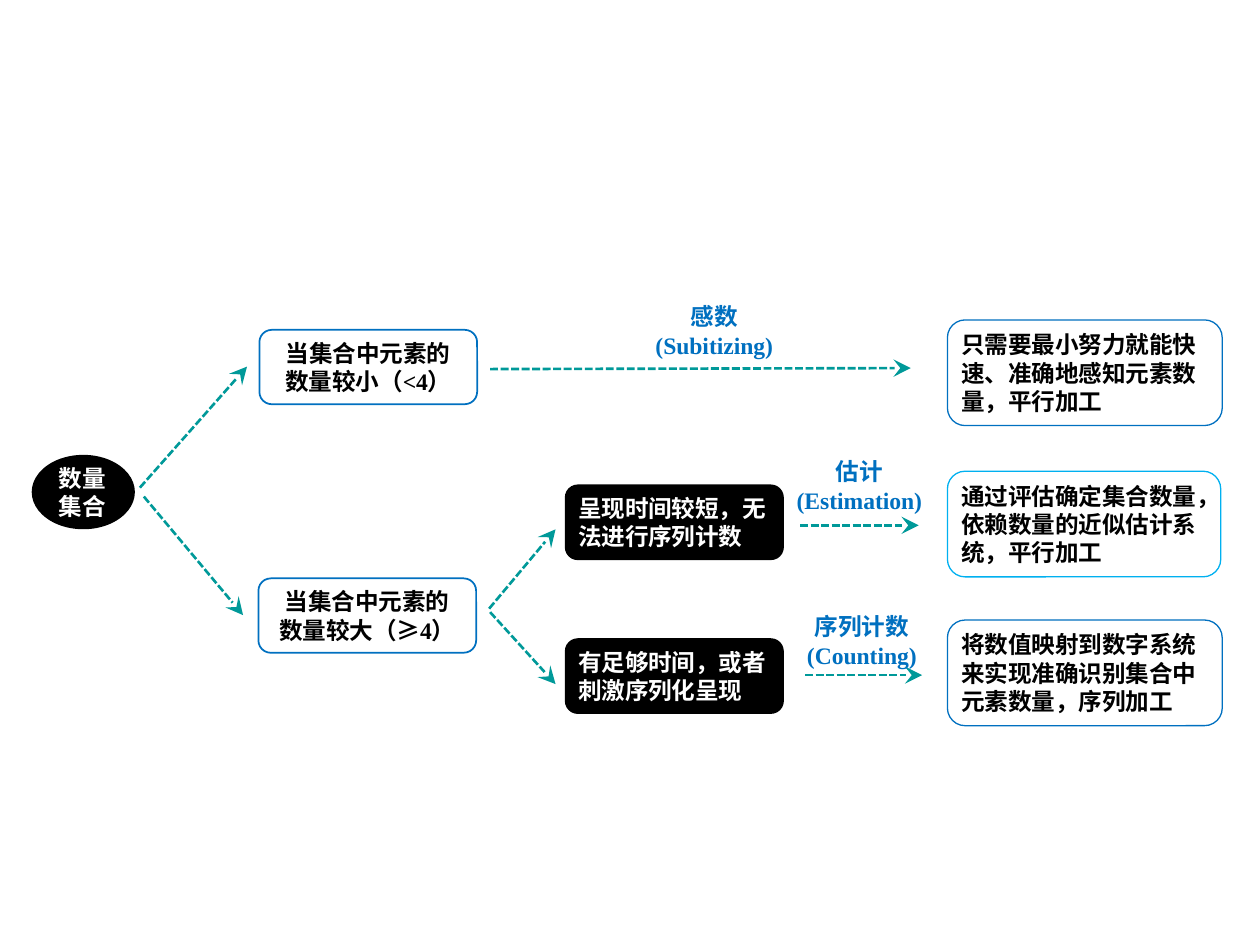
from lxml import etree
from pptx import Presentation
from pptx.dml.color import RGBColor
from pptx.enum.dml import MSO_LINE
from pptx.enum.shapes import MSO_CONNECTOR, MSO_SHAPE
from pptx.enum.text import MSO_ANCHOR, MSO_AUTO_SIZE, PP_ALIGN
from pptx.oxml.ns import qn
from pptx.util import Cm, Pt

BLACK = RGBColor(0x00, 0x00, 0x00)
WHITE = RGBColor(0xFF, 0xFF, 0xFF)
BLUE = RGBColor(0x00, 0x70, 0xC0)
SKY = RGBColor(0x00, 0xB0, 0xF0)
TEAL = RGBColor(0x00, 0x99, 0x99)

ELLIPSE, ROUNDED = MSO_SHAPE.OVAL, MSO_SHAPE.ROUNDED_RECTANGLE
STRAIGHT, DASH = MSO_CONNECTOR.STRAIGHT, MSO_LINE.SQUARE_DOT
LEFT, CENTER = PP_ALIGN.LEFT, PP_ALIGN.CENTER
MIDDLE, TOP = MSO_ANCHOR.MIDDLE, MSO_ANCHOR.TOP
GROW = MSO_AUTO_SIZE.SHAPE_TO_FIT_TEXT

SERIF, CJK_LABEL, ROOT_FONT = "Times New Roman", "Calibri", "Arial"
BOX_FRAME = {
    "margin_left": Cm(0.18), "margin_right": Cm(0.18),
    "margin_top": Cm(0.1), "margin_bottom": Cm(0.1),
    "vertical_anchor": MIDDLE,
}

CONDITIONS = [
    (5.23, 6.65, ["当集合中元素的", "数量较小（<4）"]),
    (5.21, 11.66, ["当集合中元素的", "数量较大（≥4）"]),
]
TIMINGS = [
    (9.78, "呈现时间较短，无法进行序列计数"),
    (12.88, "有足够时间，或者刺激序列化呈现"),
]
OUTCOMES = [
    (6.45, 5.54, BLUE, "只需要最小努力就能快速、准确地感知元素数量，平行加工"),
    (9.5, 5.51, SKY, "通过评估确定集合数量，依赖数量的近似估计系统，平行加工"),
    (12.5, 5.54, BLUE, "将数值映射到数字系统来实现准确识别集合中元素数量，序列加工"),
]
PROCESSES = [
    (12.7, 5.97, 3.4, [[("感数", CJK_LABEL)], [("(Subitizing)", SERIF)]]),
    (15.75, 9.09, 3.15, [[("估计", CJK_LABEL), ("(Estimation)", SERIF)]]),
    (15.85, 12.22, 3.05, [[("序列计数", CJK_LABEL), ("(Counting)", SERIF)]]),
]
ARROWS = [
    (2.82, 9.83, 4.98, 7.39),
    (2.9, 10.01, 4.9, 12.4),
    (9.86, 12.27, 11.2, 10.67),
    (9.88, 12.34, 11.2, 13.79),
    (9.88, 7.44, 18.36, 7.42),
    (16.13, 10.59, 18.52, 10.59),
    (16.23, 13.61, 18.59, 13.61),
]


def apply(target, values):
    """Set each named attribute of target."""
    for name, value in values.items():
        setattr(target, name, value)


def write(shape, paragraphs, color, align, frame_values):
    """Fill a shape with paragraphs made of (text, font) runs."""
    frame = shape.text_frame
    apply(frame, {"word_wrap": True, "auto_size": GROW, **frame_values})
    for index, runs in enumerate(paragraphs):
        paragraph = frame.paragraphs[0] if index == 0 else frame.add_paragraph()
        paragraph.alignment = align
        for text, font_name in runs:
            run = paragraph.add_run()
            run.text = text
            apply(run.font, {"name": font_name, "size": Pt(13.5), "bold": True})
            run.font.color.rgb = color


def add_outline(slide, kind, bounds, fill, border=None, weight=0.75):
    """Add a flat filled shape, with a border if a colour is given."""
    shape = slide.shapes.add_shape(kind, *map(Cm, bounds))
    shape.shadow.inherit = False
    shape.fill.solid()
    shape.fill.fore_color.rgb = fill
    if border is None:
        shape.line.fill.background()
    else:
        shape.line.color.rgb = border
        shape.line.width = Pt(weight)
    return shape


def add_box(slide, bounds, lines, fill, border, ink, align=LEFT, weight=0.75):
    """Add a rounded box with one paragraph for each line."""
    box = add_outline(slide, ROUNDED, bounds, fill, border, weight)
    write(box, [[(line, SERIF)] for line in lines], ink, align, BOX_FRAME)


def add_label(slide, bounds, paragraphs, color, align):
    """Add a text box without fill or border."""
    label = slide.shapes.add_textbox(*map(Cm, bounds))
    write(label, paragraphs, color, align, {"vertical_anchor": TOP})


def add_arrow(slide, ends):
    """Add a dashed line with a stealth arrowhead at its end."""
    arrow = slide.shapes.add_connector(STRAIGHT, *map(Cm, ends))
    arrow.line.color.rgb = TEAL
    apply(arrow.line, {"width": Pt(1.5), "dash_style": DASH})
    line_xml = arrow.line._get_or_add_ln()
    etree.SubElement(line_xml, qn("a:tailEnd"), type="stealth", w="lg", len="lg")
    etree.SubElement(line_xml.getparent(), qn("a:effectLst"))


def main():
    """Build the slide on how the number of a set is perceived."""
    deck = Presentation()
    apply(deck, {"slide_width": Cm(25.4), "slide_height": Cm(19.05)})
    slide = deck.slides.add_slide(deck.slide_layouts[6])

    for ends in ARROWS:
        add_arrow(slide, ends)
    add_outline(slide, ELLIPSE, (0.64, 9.17, 2.08, 1.5), BLACK)
    root_lines = [[("数量", ROOT_FONT)], [("集合", ROOT_FONT)]]
    add_label(slide, (0.94, 9.22, 1.73, 1.42), root_lines, WHITE, LEFT)
    for left, top, width, paragraphs in PROCESSES:
        add_label(slide, (left, top, width, 1.42), paragraphs, BLUE, CENTER)
    for left, top, lines in CONDITIONS:
        add_box(slide, (left, top, 4.39, 1.5), lines, WHITE, BLUE, BLACK, CENTER, 1)
    for top, timing in TIMINGS:
        add_box(slide, (11.4, top, 4.39, 1.5), [timing], BLACK, BLACK, WHITE)
    for top, width, border, outcome in OUTCOMES:
        add_box(slide, (19.1, top, width, 2.13), [outcome], WHITE, border, BLACK)

    deck.save("out.pptx")


if __name__ == "__main__":
    main()
